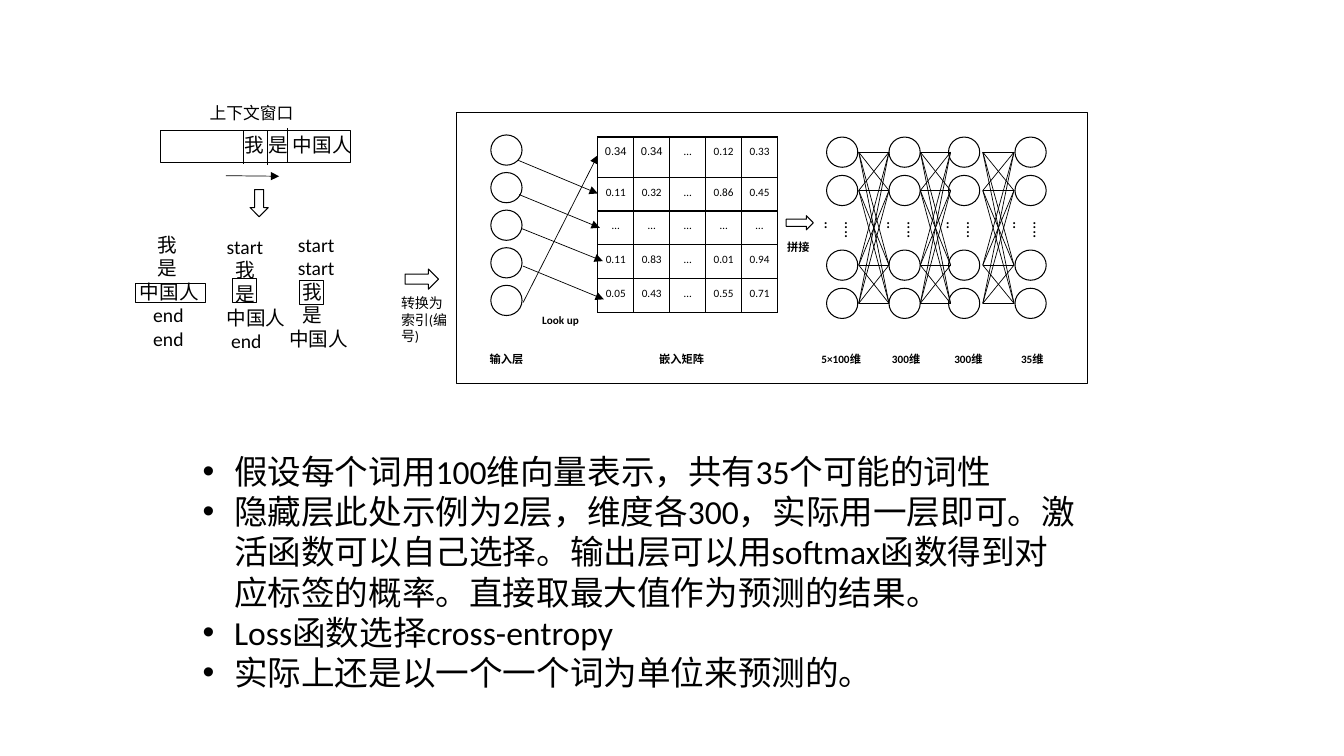
from pptx import Presentation
from pptx.dml.color import RGBColor
from pptx.enum.shapes import MSO_CONNECTOR, MSO_SHAPE
from pptx.enum.text import MSO_ANCHOR, MSO_AUTO_SIZE, PP_ALIGN
from pptx.oxml import parse_xml
from pptx.oxml.ns import nsdecls
from pptx.util import Pt

RECT, OVAL = MSO_SHAPE.RECTANGLE, MSO_SHAPE.OVAL
RIGHT, DOWN = MSO_SHAPE.RIGHT_ARROW, MSO_SHAPE.DOWN_ARROW
STRAIGHT = MSO_CONNECTOR.STRAIGHT
CENTER, TOP, NO_FIT = PP_ALIGN.CENTER, MSO_ANCHOR.TOP, MSO_AUTO_SIZE.NONE
BLACK, WHITE = "000000", "FFFFFF"
rgb = RGBColor.from_string

prs = Presentation()
prs.slide_width, prs.slide_height = Pt(960), Pt(540)
s = prs.slides.add_slide(prs.slide_layouts[1])
s.shapes.title.element.getparent().remove(s.shapes.title.element)


def write(tf, lines, size, bold=False, font="Calibri"):
    """Fill a text frame with (text, left indent) lines and return its paragraphs."""
    for i, (text, indent) in enumerate(lines):
        p = tf.paragraphs[0] if i == 0 else tf.add_paragraph()
        if indent:
            p._p.get_or_add_pPr().set("marL", str(Pt(indent)))
        r = p.add_run()
        r.text = text
        for name, value in {"size": Pt(size), "bold": bold, "name": font}.items():
            setattr(r.font, name, value)
        r.font.color.rgb = rgb(BLACK)
    return tf.paragraphs


def connect(x1, y1, x2, y2, arrow=False):
    """Draw a thin black line, with an arrowhead at its end if asked."""
    c = s.shapes.add_connector(STRAIGHT, Pt(x1), Pt(y1), Pt(x2), Pt(y2))
    c.line.width = Pt(0.5)
    c.line.color.rgb = rgb(BLACK)
    if arrow:
        c.line._get_or_add_ln().append(parse_xml(f'<a:tailEnd {nsdecls("a")} type="triangle"/>'))
    c._element.spPr.append(parse_xml(f'<a:effectLst {nsdecls("a")}/>'))


# Frames, word boxes and block arrows
shapes = [
    (RECT, 114.5, 92.9, 136, 23, None),
    (RECT, 96.5, 202.3, 50.4, 13.7, None),
    (RECT, 166.3, 198.7, 17.3, 17.3, None),
    (RECT, 213.8, 200.2, 17.3, 17.3, None),
    (RECT, 326.2, 80.6, 450.7, 193.7, None),
    (DOWN, 178.6, 135.4, 13, 19.4, None),
    (RIGHT, 289.4, 192.2, 23.8, 14.4, WHITE),
    (RIGHT, 561.6, 154.1, 19.4, 10.1, WHITE),
]

# Neurons of the input layer and of the four network layers
input_x, input_y, input_gap = 350.6, 96.4, 26.85
layer_xs = [590.4, 635, 677.5, 725]
neuron_ys = [97.9, 125.3, 178.6, 205.9]
shapes += [(OVAL, input_x, input_y + i * input_gap, 22.3, 21.6, None) for i in range(5)]
shapes += [(OVAL, x, y, 22.3, 21.6, None) for x in layer_xs for y in neuron_ys]
for kind, x, y, w, h, fill in shapes:
    sp = s.shapes.add_shape(kind, Pt(x), Pt(y), Pt(w), Pt(h))
    sp.shadow.inherit = False
    sp.line.width = Pt(0.75)
    sp.line.color.rgb = rgb(BLACK)
    if fill:
        sp.fill.solid()
        sp.fill.fore_color.rgb = rgb(fill)
    else:
        sp.fill.background()

# Context window dividers and sliding direction
for x, y in [(173.7, 92.9), (190.8, 93.4), (205.2, 91.6)]:
    connect(x, y, x, y + 24.4)
connect(161.3, 125.5, 199.4, 125.9, True)

# Embedding matrix
rows = [
    ["0.34", "0.34", "…", "0.12", "0.33"],
    ["0.11", "0.32", "…", "0.86", "0.45"],
    ["…"] * 5,
    ["0.11", "0.83", "…", "0.01", "0.94"],
    ["0.05", "0.43", "…", "0.55", "0.71"],
]
gf = s.shapes.add_table(5, 5, Pt(427), Pt(97.9), Pt(128.5), Pt(125.1))
table = gf.table
table.first_row = table.horz_banding = False
for col in table.columns:
    col.width = Pt(25.7)
for i, row in enumerate(rows):
    table.rows[i].height = Pt(28.7 if i == 0 else 24.1)
    for j, value in enumerate(row):
        cell = table.cell(i, j)
        margins = {"margin_left": 3, "margin_top": 5.8, "margin_right": 3, "margin_bottom": 3.4}
        for name, gap in margins.items():
            setattr(cell, name, Pt(gap))
        cell.fill.background()
        font = "Arial" if i == 0 and j < 2 else "Calibri"
        write(cell.text_frame, [(value, 0)], 8, font=font)[0].alignment = CENTER
        tcPr = cell._tc.get_or_add_tcPr()
        for k, side in enumerate("LRTB"):
            tcPr.insert(k, parse_xml(
                f'<a:ln{side} {nsdecls("a")} w="{Pt(1)}"><a:solidFill>'
                f'<a:srgbClr val="{BLACK}"/></a:solidFill></a:ln{side}>'))

# Look-up arrows from input neurons to matrix rows
for line in [(370.1, 114.5, 427, 138.2), (370.8, 139, 428.4, 162.7), (373, 163.4, 430.6, 186.5),
             (373.7, 190.1, 431.3, 213.8), (373.7, 216, 427, 110.9)]:
    connect(*line, arrow=True)

# Full connections between neighbouring layers
for start, end in [(613.4, 635), (657.4, 679), (702, 724.3)]:
    for y1 in neuron_ys:
        for y2 in neuron_ys:
            connect(start, y1 + 10.8, end, y2 + 10.8)

# Text: x, y, width, height, size, bold, lines with indents
texts = [
    (167.8, 91.4, 133.2, 24.5, 14, False, [("我 是 中国人", 0)]),
    (142.6, 69.8, 76.3, 21.6, 12, False, [("上下文窗口", 0)]),
    (92.9, 162.7, 61.9, 92.2, 14, False,
     [("我", 12.6), ("是", 12.6), ("中国人", 0), ("end", 9.5), ("end", 9.5)]),
    (154.8, 164.2, 59.8, 92.2, 14, False,
     [("start", 0), ("我", 6.3), ("是", 6.3), ("中国人", 0), ("end", 3.2)]),
    (199.4, 162.7, 62.6, 92.2, 14, False,
     [("start", 6.3), ("start", 6.3), ("我", 9.5), ("是", 9.5), ("中国人", 0)]),
    (279.4, 206.6, 48.2, 43.9, 10, False, [("转换为索引(编号)", 0)]),
]
labels = [
    ("输入层", 342.7, 248.4), ("Look up", 380.2, 220.3), ("嵌入矩阵", 463.7, 248.4),
    ("拼接", 555.1, 167.8), ("5×100维", 579.6, 248.4), ("300维", 630, 248.4),
    ("300维", 674.6, 248.4), ("35维", 722.2, 248.4),
]
texts += [(x, y, 46.8, 17.3, 8, True, [(text, 0)]) for text, x, y in labels]
texts += [(x, 151.2, 28.8, 26.6, 12, False, [("......", 0)]) for x in layer_xs]
for x, y, w, h, size, bold, lines in texts:
    tf = s.shapes.add_textbox(Pt(x), Pt(y), Pt(w), Pt(h)).text_frame
    tf.word_wrap = True
    if lines[0][0] == "......":
        tf._txBody.bodyPr.set("vert", "eaVert")
    write(tf, lines, size, bold)

# Explanation list
body = s.placeholders[1]
for name, value in {"left": 137.5, "top": 318.2, "width": 639.4, "height": 181.4}.items():
    setattr(body, name, Pt(value))
tf = body.text_frame
for name, value in {"word_wrap": True, "auto_size": NO_FIT, "vertical_anchor": TOP}.items():
    setattr(tf, name, value)
points = [
    "假设每个词用100维向量表示，共有35个可能的词性",
    "隐藏层此处示例为2层，维度各300，实际用一层即可。激活函数可以自己选择。"
    "输出层可以用softmax函数得到对应标签的概率。直接取最大值作为预测的结果。",
    "Loss函数选择cross-entropy",
    "实际上还是以一个一个词为单位来预测的。",
]
for p in write(tf, [(text, 22.5) for text in points], 24):
    p.space_before = Pt(0)
    p._p.get_or_add_pPr().set("indent", str(Pt(-22.5)))

prs.save("out.pptx")
